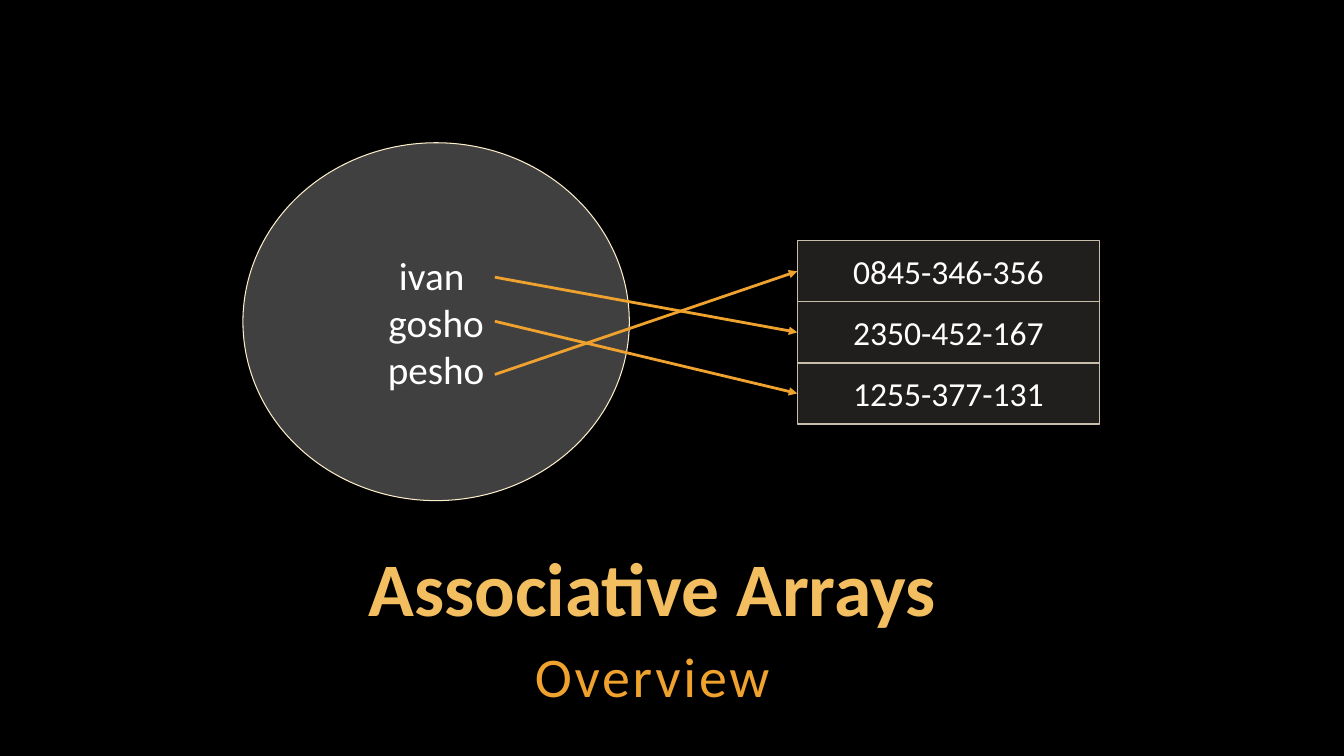
from lxml import etree
from pptx import Presentation
from pptx.dml.color import RGBColor
from pptx.enum.shapes import MSO_CONNECTOR, MSO_SHAPE
from pptx.enum.text import MSO_ANCHOR, PP_ALIGN
from pptx.oxml.ns import qn
from pptx.util import Pt

BLACK = RGBColor(0x00, 0x00, 0x00)
WHITE = RGBColor(0xFF, 0xFF, 0xFF)
GOLD = RGBColor(0xF3, 0xBE, 0x60)
ORANGE = RGBColor(0xF0, 0xA2, 0x2E)
GRAY = RGBColor(0x80, 0x80, 0x80)
CREAM = RGBColor(0xFB, 0xEE, 0xC9)
STONE = RGBColor(0xD9, 0xD5, 0xC7)
TAUPE = RGBColor(0xC7, 0xBF, 0xAC)

CENTER = PP_ALIGN.CENTER
TOP, MIDDLE, BOTTOM = MSO_ANCHOR.TOP, MSO_ANCHOR.MIDDLE, MSO_ANCHOR.BOTTOM
OVAL, RECTANGLE = MSO_SHAPE.OVAL, MSO_SHAPE.RECTANGLE
STRAIGHT = MSO_CONNECTOR.STRAIGHT

FONT = "Calibri"
KEYS = ["ivan ", "gosho", "pesho"]
VALUES = ["0845-346-356", "2350-452-167", "1255-377-131"]
KEY_HEIGHTS = [96, 127.5, 165.5]  # arrow starts, below the circle's top
KEY_TO_ROW = [1, 2, 0]


def write_text(shape, lines, size, color, anchor, side_inset, top_inset, bold=False):
    frame = shape.text_frame
    frame.word_wrap = True
    frame.vertical_anchor = anchor
    frame.margin_left = frame.margin_right = Pt(side_inset)
    frame.margin_top = frame.margin_bottom = Pt(top_inset)
    frame.text = "\n".join(lines)
    for paragraph in frame.paragraphs:
        paragraph.alignment = CENTER
        paragraph.font.name = FONT
        paragraph.font.size = Pt(size)
        paragraph.font.bold = bold
        paragraph.font.color.rgb = color
    return frame.paragraphs[0]


def add_glass_shape(slide, kind, box, fill, opacity, line, line_width):
    shape = slide.shapes.add_shape(kind, *map(Pt, box))
    shape.shadow.inherit = False
    shape.fill.solid()
    shape.fill.fore_color.rgb = fill
    color = shape.fill._xPr.find(qn("a:solidFill"))[0]
    etree.SubElement(color, qn("a:alpha"), val=str(opacity * 1000))
    shape.line.color.rgb = line
    shape.line.width = Pt(line_width)
    return shape


def add_heading(slide, left, top, width):
    # Title
    title = slide.shapes.title
    title.left, title.top, title.width, title.height = map(Pt, (left, top, width, 64.8))
    paragraph = write_text(title, ["Associative Arrays"], 54, GOLD, BOTTOM, 2.88, 2.88, True)
    paragraph.line_spacing = 0.9

    # Subtitle
    subtitle = slide.shapes.add_textbox(Pt(left), Pt(top + 62.6), Pt(width), Pt(54))
    paragraph = write_text(subtitle, ["Overview"], 40, ORANGE, TOP, 2.88, 2.88)
    paragraph.line_spacing = 1.05
    paragraph.space_after = Pt(6)
    paragraph.runs[0].font._element.set("spc", "200")


def add_key_circle(slide, left, top, width, height):
    circle = add_glass_shape(slide, OVAL, (left, top, width, height), GRAY, 50, CREAM, 0.75)
    write_text(circle, KEYS, 28, WHITE, MIDDLE, 7.2, 3.6)


def add_value_rows(slide, left, top, width, row_height):
    for index, value in enumerate(VALUES):
        box = (left, top + index * row_height, width, row_height)
        row = add_glass_shape(slide, RECTANGLE, box, STONE, 15, TAUPE, 1)
        write_text(row, [value], 24, WHITE, TOP, 14.4, 7.2)


def add_arrow(slide, start, end):
    arrow = slide.shapes.add_connector(STRAIGHT, *map(Pt, start + end))
    arrow.line.color.rgb = ORANGE
    arrow.line.width = Pt(2)
    etree.SubElement(arrow.line._get_or_add_ln(), qn("a:tailEnd"), type="triangle")
    etree.SubElement(arrow._element.spPr, qn("a:effectLst"))


def add_mapping(slide, left, top):
    rows_left, rows_top, row_height = left + 396, top + 70, 43.6
    add_key_circle(slide, left, top, 276, 255.6)
    # Arrows from each key to the middle of its value row
    for key_height, row in zip(KEY_HEIGHTS, KEY_TO_ROW):
        end = (rows_left, rows_top + (row + 0.5) * row_height)
        add_arrow(slide, (left + 180, top + key_height), end)
    add_value_rows(slide, rows_left, rows_top, 216, row_height)


def main():
    presentation = Presentation()
    presentation.slide_width, presentation.slide_height = Pt(960), Pt(540)
    slide = presentation.slides.add_slide(presentation.slide_layouts[5])
    slide.background.fill.solid()
    slide.background.fill.fore_color.rgb = BLACK
    add_heading(slide, 113.8, 390.2, 704.2)
    add_mapping(slide, 173.5, 102)
    presentation.save("out.pptx")


if __name__ == "__main__":
    main()
